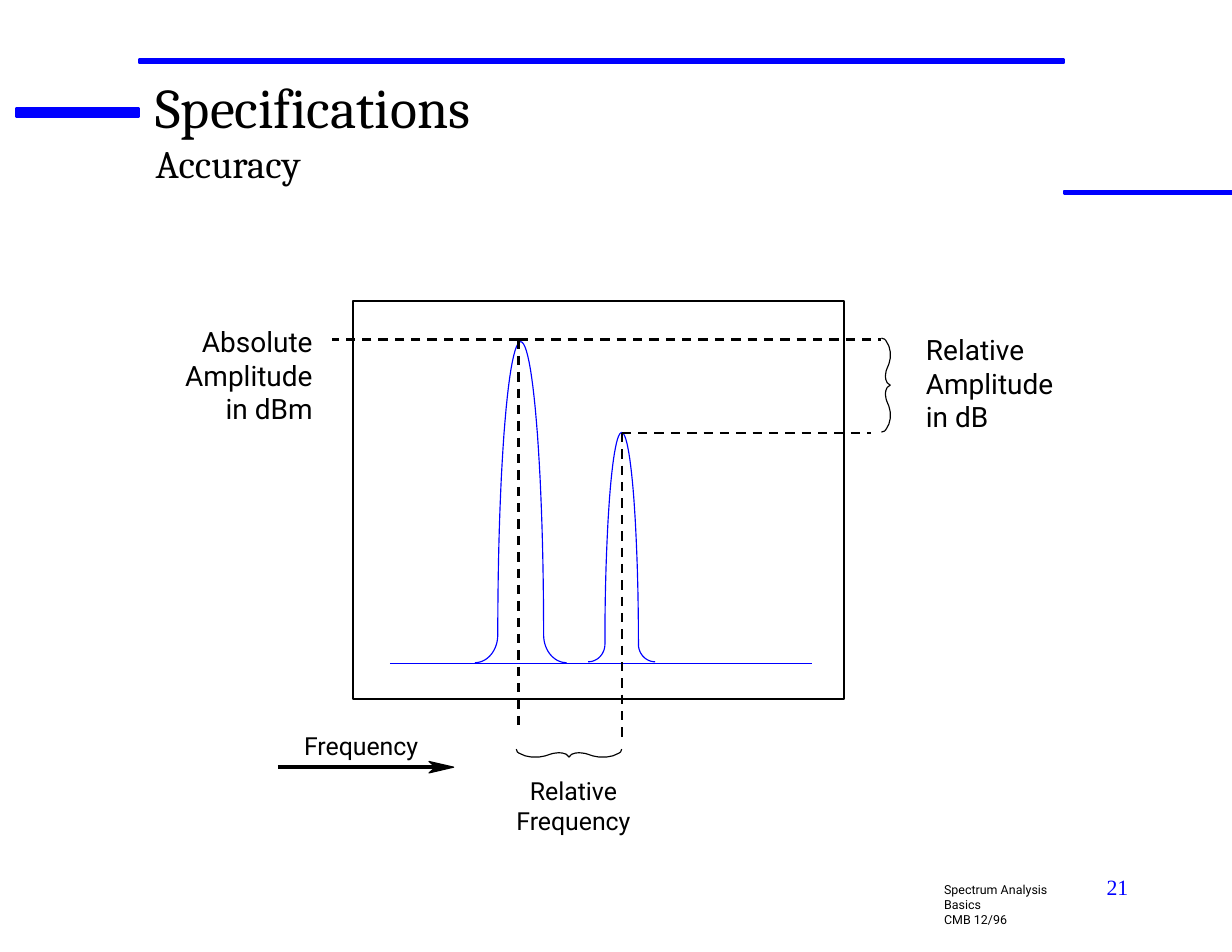
from math import cos, radians, sin

from lxml import etree
from pptx import Presentation
from pptx.dml.color import RGBColor
from pptx.enum.dml import MSO_LINE
from pptx.enum.shapes import MSO_CONNECTOR, MSO_SHAPE
from pptx.enum.text import MSO_ANCHOR, PP_ALIGN
from pptx.oxml.ns import qn
from pptx.util import Cm, Pt

STRAIGHT = MSO_CONNECTOR.STRAIGHT
RECT, ROUND = MSO_SHAPE.RECTANGLE, MSO_SHAPE.ROUNDED_RECTANGLE
DASH = MSO_LINE.DASH
TOP, BOTTOM = MSO_ANCHOR.TOP, MSO_ANCHOR.BOTTOM
LEFT, CENTER, RIGHT = PP_ALIGN.LEFT, PP_ALIGN.CENTER, PP_ALIGN.RIGHT
BLUE, BLACK = "0000FF", "000000"

# First half of a curly brace: (share of half length, share of depth)
BRACE = [(0, 0), (0.02, 0.35), (0.05, 0.5), (0.1, 0.65), (0.17, 0.85),
         (0.29, 1), (0.43, 1), (0.55, 0.85), (0.64, 0.65), (0.69, 0.55),
         (0.74, 0.5), (0.81, 0.45), (0.88, 0.5), (0.95, 0.65), (1, 1)]


def rgb(code):
    return RGBColor.from_string(code)


def paint(shape, color, width, fill=None):
    shape.shadow.inherit = False
    if fill:
        shape.fill.solid()
        shape.fill.fore_color.rgb = rgb(fill)
    else:
        shape.fill.background()
    shape.line.color.rgb = rgb(color)
    shape.line.width = Pt(width)


def box(slide, kind, x, y, w, h, color, fill=None):
    shape = slide.shapes.add_shape(kind, Cm(x), Cm(y), Cm(w), Cm(h))
    if kind == ROUND:
        shape.adjustments[0] = 0
    paint(shape, color, 1.5, fill)


def line(slide, x1, y1, x2, y2, color=BLACK, width=1.5, dash=None):
    link = slide.shapes.add_connector(STRAIGHT, Cm(x1), Cm(y1), Cm(x2), Cm(y2))
    link.line.color.rgb = rgb(color)
    link.line.width = Pt(width)
    if dash:
        link.line.dash_style = dash
    etree.SubElement(link._element.spPr, qn("a:effectLst"))


def path(slide, points, color=BLACK, fill=None):
    first, *rest = [(Cm(x), Cm(y)) for x, y in points]
    maker = slide.shapes.build_freeform(*first)
    maker.add_line_segments(rest, close=bool(fill))
    paint(maker.convert_to_shape(), color, 0.75, fill)


def arc(slide, cx, cy, rx, ry, start, end, steps):
    """Draw part of an ellipse; angles run clockwise from the right."""
    turns = [radians(start + (end - start) * i / steps)
             for i in range(steps + 1)]
    path(slide, [(cx + rx * cos(t), cy + ry * sin(t)) for t in turns], BLUE)


def peak(slide, cx, base, rx, height, foot):
    arc(slide, cx, base, rx, height, 180, 360, 50)
    arc(slide, cx - 2 * rx, base, rx, foot, 0, 90, 25)
    arc(slide, cx + 2 * rx, base, rx, foot, 90, 180, 25)


def brace(slide, x, y, length, depth, upright):
    half = length / 2
    ends = [(a * half, d * depth) for a, d in BRACE]
    ends += [(length - a, d) for a, d in reversed(ends[:-1])]
    path(slide, [(x + d, y + a) if upright else (x + a, y + d)
                 for a, d in ends])


def text(slide, words, x, y, w, h, sizes, font="Roboto", color=BLACK,
         align=LEFT, anchor=TOP, inset=True):
    """Add a text box; sizes holds one size per line, the last one repeats."""
    frame = slide.shapes.add_textbox(Cm(x), Cm(y), Cm(w), Cm(h)).text_frame
    frame.word_wrap = True
    frame.vertical_anchor = anchor
    if not inset:
        frame.margin_left = frame.margin_right = 0
        frame.margin_top = frame.margin_bottom = 0
    frame.text = words
    for i, para in enumerate(frame.paragraphs):
        para.alignment = align
        style = para.runs[0].font
        style.name = font
        style.size = Pt(sizes[min(i, len(sizes) - 1)])
        style.color.rgb = rgb(color)


def label(slide, words, x, y, w, h, size, align):
    text(slide, words, x, y, w, h, [size], align=align, anchor=BOTTOM,
         inset=False)


def layout(slide):
    for bar in [(0.36, 2.46, 2.79, 0.18), (3.15, 1.35, 20.98, 0.08),
                (24.13, 4.34, 3.81, 0.05)]:
        box(slide, ROUND, *bar, BLUE, BLUE)
    text(slide, "Spectrum Analysis Basics\nCMB 12/96",
         21.16, 19.89, 3.45, 0.94, [8])
    text(slide, "21", 20.12, 19.69, 5.72, 1.47, [14], "Times New Roman",
         BLUE, RIGHT)
    text(slide, "Specifications\nAccuracy", 3.53, 1.65, 20.17, 2.54,
         [36, 25], "Cambria", inset=False)


def diagram(slide):
    peak(slide, 11.81, 14.4, 0.52, 6.65, 0.63)
    peak(slide, 14.1, 14.61, 0.38, 4.8, 0.4)
    box(slide, RECT, 8, 6.83, 11.15, 9.02, BLACK)
    line(slide, 8.84, 15.04, 18.42, 15.04, BLUE, 0.75)

    high, low = (11.76, 7.7), (14.1, 9.82)
    for start, end in [(high, (7.54, 7.7)), (high, (19.99, 7.7)),
                       (high, (11.76, 16.54)), (low, (19.76, 9.82)),
                       (low, (14.1, 16.76))]:
        line(slide, *start, *end, dash=DASH)

    brace(slide, 19.99, 7.67, 2.13, 0.2, True)
    brace(slide, 11.71, 16.99, 2.39, 0.18, False)

    label(slide, "Absolute\nAmplitude\nin dBm", 3.76, 7.24, 3.33, 2.41,
          18, RIGHT)
    label(slide, "Relative\nAmplitude\nin dB", 21, 7.42, 3.33, 2.41, 18, LEFT)
    label(slide, "Relative\nFrequency", 11.53, 17.55, 2.95, 1.4, 16, CENTER)
    label(slide, "Frequency", 6.5, 16.54, 3.38, 0.71, 16, CENTER)

    line(slide, 6.3, 17.4, 9.88, 17.4, width=2.5)
    path(slide, [(10.29, 17.4), (9.73, 17.27), (9.88, 17.4), (9.73, 17.53)],
         fill=BLACK)


def main():
    deck = Presentation()
    deck.slide_width, deck.slide_height = Cm(27.94), Cm(21.59)
    slide = deck.slides.add_slide(deck.slide_layouts[6])
    layout(slide)
    diagram(slide)
    deck.save("out.pptx")


if __name__ == "__main__":
    main()
